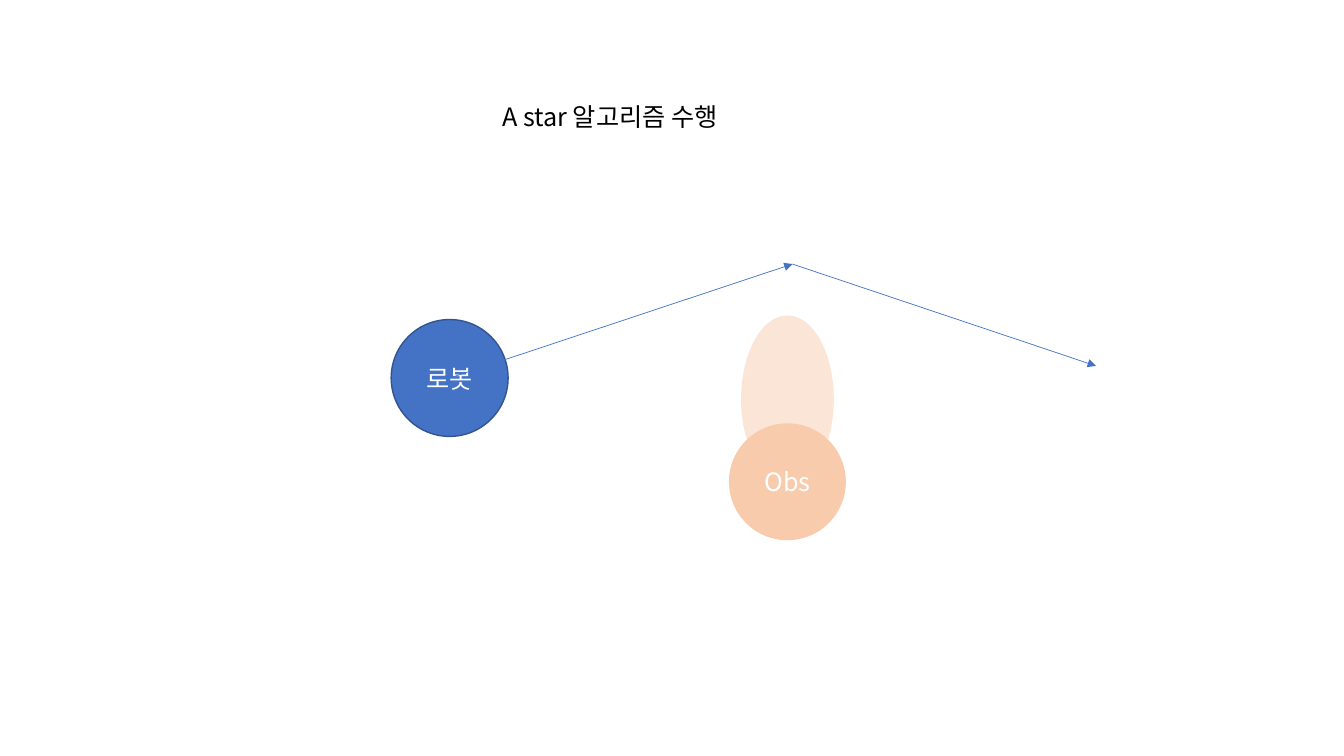
from lxml.etree import SubElement
from pptx import Presentation
from pptx.dml.color import RGBColor
from pptx.enum.shapes import MSO_CONNECTOR, MSO_SHAPE
from pptx.enum.text import MSO_ANCHOR, MSO_AUTO_SIZE, PP_ALIGN
from pptx.oxml.ns import qn
from pptx.util import Inches, Pt

BLUE = RGBColor(0x44, 0x72, 0xC4)
DARK_BLUE = RGBColor(0x32, 0x54, 0x91)
PEACH = RGBColor(0xF8, 0xCB, 0xAD)
PALE_PEACH = RGBColor(0xFB, 0xE5, 0xD6)
WHITE = RGBColor(0xFF, 0xFF, 0xFF)
BLACK = RGBColor(0, 0, 0)


class PathSlide:
    """Holds the text style and the slide that shows the planned path."""

    font = "Noto Sans CJK KR"
    size = Pt(18)

    def __init__(self, prs):
        self.slide = prs.slides.add_slide(prs.slide_layouts[5])

    def add_text(self, tf, text, color, align):
        p = tf.paragraphs[0]
        p.alignment = align
        r = p.add_run()
        r.text = text
        r.font.size = self.size
        r.font.color.rgb = color
        r.font.name = self.font
        SubElement(r.font._element, qn("a:ea"), typeface=self.font)

    def title(self, text, x, y, w, h):
        sp = self.slide.shapes.title
        sp.left, sp.top, sp.width, sp.height = map(Inches, (x, y, w, h))
        tf = sp.text_frame
        tf.word_wrap = True
        tf.auto_size = MSO_AUTO_SIZE.SHAPE_TO_FIT_TEXT
        tf.vertical_anchor = MSO_ANCHOR.TOP
        self.add_text(tf, text, BLACK, PP_ALIGN.LEFT)

    def ellipse(self, x, y, w, h, fill, text=None, line=None):
        sp = self.slide.shapes.add_shape(MSO_SHAPE.OVAL, *map(Inches, (x, y, w, h)))
        sp.shadow.inherit = False
        sp.fill.solid()
        sp.fill.fore_color.rgb = fill
        if line is None:
            sp.line.fill.background()
        else:
            sp.line.color.rgb = line
            sp.line.width = Pt(1)
        if text:
            sp.text_frame.vertical_anchor = MSO_ANCHOR.MIDDLE
            self.add_text(sp.text_frame, text, WHITE, PP_ALIGN.CENTER)

    def arrow(self, start, end):
        cxn = self.slide.shapes.add_connector(
            MSO_CONNECTOR.STRAIGHT, *map(Inches, (*start, *end)))
        cxn.line.color.rgb = BLUE
        cxn.line.width = Pt(0.5)
        SubElement(cxn.line._get_or_add_ln(), qn("a:tailEnd"), type="triangle")
        SubElement(cxn._element.spPr, qn("a:effectLst"))


def main():
    prs = Presentation()
    prs.slide_width, prs.slide_height = Inches(13.33), Inches(7.5)
    s = PathSlide(prs)

    s.title("A star 알고리즘 수행", 4.88, 0.95, 3.57, 0.4)

    diameter = 1.16
    s.ellipse(7.35, 3.13, 0.92, 1.66, PALE_PEACH)
    s.ellipse(3.88, 3.17, diameter, diameter, BLUE, "로봇", DARK_BLUE)
    s.ellipse(7.23, 4.2, diameter, diameter, PEACH, "Obs")

    waypoints = [(4.46, 3.75), (7.86, 2.62), (10.87, 3.63)]
    for start, end in zip(waypoints, waypoints[1:]):
        s.arrow(start, end)

    prs.save("out.pptx")


if __name__ == "__main__":
    main()
